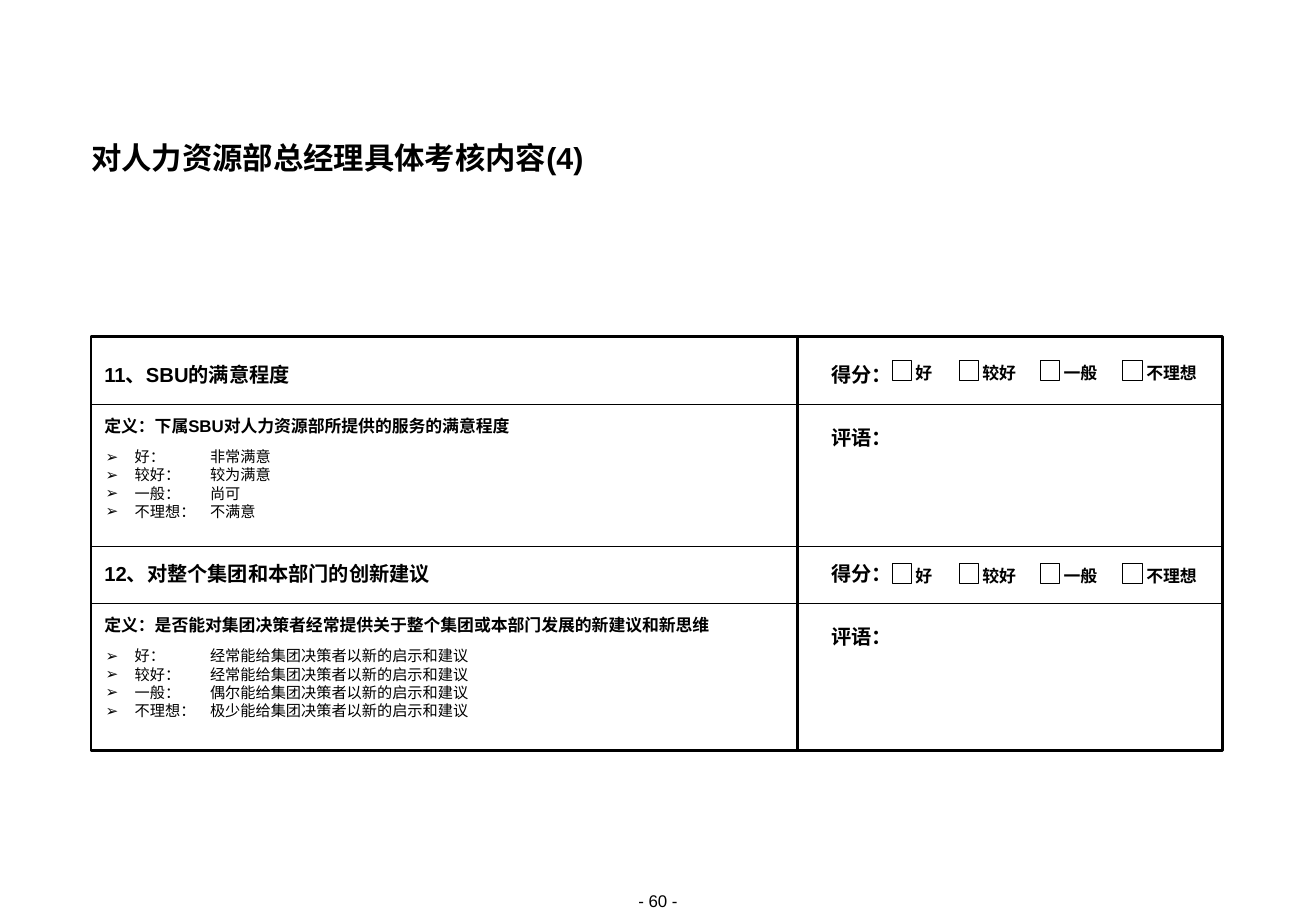
from lxml import etree
from pptx import Presentation
from pptx.dml.color import RGBColor
from pptx.enum.shapes import MSO_CONNECTOR, MSO_SHAPE
from pptx.enum.text import MSO_ANCHOR, MSO_AUTO_SIZE, PP_ALIGN
from pptx.oxml.ns import qn
from pptx.util import Inches, Pt

LEFT, CENTER = PP_ALIGN.LEFT, PP_ALIGN.CENTER
TOP, MIDDLE = MSO_ANCHOR.TOP, MSO_ANCHOR.MIDDLE
RECTANGLE = MSO_SHAPE.RECTANGLE
STRAIGHT = MSO_CONNECTOR.STRAIGHT
FIXED_SIZE = MSO_AUTO_SIZE.NONE

FONT = "Arial"
BLACK, WHITE = "000000", "FFFFFF"
TITLE = "对人力资源部总经理具体考核内容(4)"
PAGE_NUMBER = "- 60 -"
SCORE, COMMENT = "得分：", "评语："
RATINGS = [("好", 7.35), ("较好", 7.9), ("一般", 8.57), ("不理想", 9.25)]
CRITERIA = [
    {
        "heading": "11、SBU的满意程度",
        "definition": "定义：下属SBU对人力资源部所提供的服务的满意程度",
        "grades": [
            ("好：", "非常满意"),
            ("较好：", "较为满意"),
            ("一般：", "尚可"),
            ("不理想：", "不满意"),
        ],
        "top": 2.98,
        "check_top": 2.97,
    },
    {
        "heading": "12、对整个集团和本部门的创新建议",
        "definition": "定义：是否能对集团决策者经常提供关于整个集团或本部门发展的新建议和新思维",
        "grades": [
            ("好：", "经常能给集团决策者以新的启示和建议"),
            ("较好：", "经常能给集团决策者以新的启示和建议"),
            ("一般：", "偶尔能给集团决策者以新的启示和建议"),
            ("不理想：", "极少能给集团决策者以新的启示和建议"),
        ],
        "top": 4.62,
        "check_top": 4.64,
    },
]

FORM_LEFT, FORM_TOP, FORM_WIDTH, FORM_HEIGHT = 0.75, 2.77, 9.32, 3.41
DIVIDER = 6.57
ROW_LINES = [3.33, 4.5, 4.97]
TEXT_LEFT, TEXT_WIDTH, SCORE_LEFT = 0.86, 5.74, 6.85
CHECK_SIZE, LABEL_GAP, CHARACTER_WIDTH = 0.16, 0.19, 0.14


def color(value):
    return RGBColor.from_string(value)


def set_frame(box, anchor=TOP, wrap=True):
    frame = box.text_frame
    frame.margin_left = frame.margin_right = 0
    frame.margin_top = frame.margin_bottom = 0
    frame.auto_size = FIXED_SIZE
    frame.vertical_anchor = anchor
    frame.word_wrap = wrap
    return frame


def place(box, left, top, width, height):
    box.left, box.top = Inches(left), Inches(top)
    box.width, box.height = Inches(width), Inches(height)


def add_span(para, text, size, bold):
    span = para.add_run()
    span.text = text
    span.font.name = FONT
    span.font.size = Pt(size)
    span.font.bold = bold
    span.font.color.rgb = color(BLACK)


def add_text(shapes, text, left, top, width, height, size, bold=True):
    box = shapes.add_textbox(*map(Inches, (left, top, width, height)))
    para = set_frame(box).paragraphs[0]
    add_span(para, text, size, bold)


def add_label(shapes, text, left, top, width, size):
    box = shapes.add_textbox(*map(Inches, (left, top, width, 0.19)))
    para = set_frame(box, MIDDLE, False).paragraphs[0]
    para.alignment = CENTER
    para.line_spacing = Pt(14)
    add_span(para, text, size, True)


def add_rectangle(shapes, left, top, width, height, weight, fill=None):
    box = shapes.add_shape(RECTANGLE, *map(Inches, (left, top, width, height)))
    box.shadow.inherit = False
    if fill:
        box.fill.solid()
        box.fill.fore_color.rgb = color(fill)
    else:
        box.fill.background()
    box.line.color.rgb = color(BLACK)
    box.line.width = Pt(weight)


def add_line(shapes, x1, y1, x2, y2, weight):
    line = shapes.add_connector(STRAIGHT, *map(Inches, (x1, y1, x2, y2)))
    line.line.color.rgb = color(BLACK)
    line.line.width = Pt(weight)
    etree.SubElement(line._element.spPr, qn("a:effectLst"))


def set_bullet(para):
    properties = para._p.get_or_add_pPr()
    properties.set("marL", str(Inches(0.25)))
    properties.set("indent", str(Inches(-0.24)))
    bullet_color = etree.SubElement(properties, qn("a:buClr"))
    etree.SubElement(bullet_color, qn("a:srgbClr"), val=BLACK)
    etree.SubElement(properties, qn("a:buFont"), typeface=FONT)
    etree.SubElement(properties, qn("a:buChar"), char="➢")
    tabs = etree.SubElement(properties, qn("a:tabLst"))
    etree.SubElement(tabs, qn("a:tab"), pos=str(Inches(0.87)), algn="l")


def fill_grades(box, grades, top):
    place(box, TEXT_LEFT, top, 5.76, 0.59)
    frame = set_frame(box)
    for index, (grade, meaning) in enumerate(grades):
        para = frame.add_paragraph() if index else frame.paragraphs[0]
        para.level = 1
        set_bullet(para)
        para.alignment = LEFT
        para.line_spacing = 0.9
        para.space_before = Pt(1.1 if index else 0)
        add_span(para, f"{grade}\t{meaning}", 9, False)


def add_checks(shapes, top):
    group = shapes.add_group_shape()
    for rating, left in RATINGS:
        add_rectangle(group.shapes, left, top, CHECK_SIZE, CHECK_SIZE, 0.5, WHITE)
        width = CHARACTER_WIDTH * len(rating)
        add_label(group.shapes, rating, left + LABEL_GAP, top - 0.01, width, 10)


def add_criterion(shapes, criterion, grade_box):
    top = criterion["top"]
    add_text(shapes, criterion["heading"], TEXT_LEFT, top, TEXT_WIDTH, 0.2, 12)
    add_text(shapes, criterion["definition"], TEXT_LEFT, top + 0.44, TEXT_WIDTH, 0.17, 10)
    fill_grades(grade_box, criterion["grades"], top + 0.72)
    add_text(shapes, SCORE, SCORE_LEFT, top, 0.55, 0.2, 12)
    add_label(shapes, COMMENT, SCORE_LEFT, top + 0.53, 0.5, 12)
    add_checks(shapes, criterion["check_top"])


def main():
    deck = Presentation()
    deck.slide_width, deck.slide_height = Inches(10.84), Inches(7.5)
    page = deck.slides.add_slide(deck.slide_layouts[3])
    shapes = page.shapes

    title = shapes.title
    place(title, FORM_LEFT, 1.17, 9.33, 0.28)
    para = set_frame(title).paragraphs[0]
    para.alignment = LEFT
    para.line_spacing = Pt(20)
    add_span(para, TITLE, 18, True)

    add_rectangle(shapes, FORM_LEFT, FORM_TOP, FORM_WIDTH, FORM_HEIGHT, 1.5)
    for top in ROW_LINES:
        add_line(shapes, FORM_LEFT, top, FORM_LEFT + FORM_WIDTH, top, 1)
    add_line(shapes, DIVIDER, FORM_TOP, DIVIDER, FORM_TOP + FORM_HEIGHT, 1.5)

    grade_boxes = [page.placeholders[1], page.placeholders[2]]
    for criterion, grade_box in zip(CRITERIA, grade_boxes):
        add_criterion(shapes, criterion, grade_box)

    add_label(shapes, PAGE_NUMBER, 4.85, 7.31, 1.14, 10)
    number_span = shapes[-1].text_frame.paragraphs[0].runs[0]
    number_span.font.bold = False
    deck.save("out.pptx")


if __name__ == "__main__":
    main()
